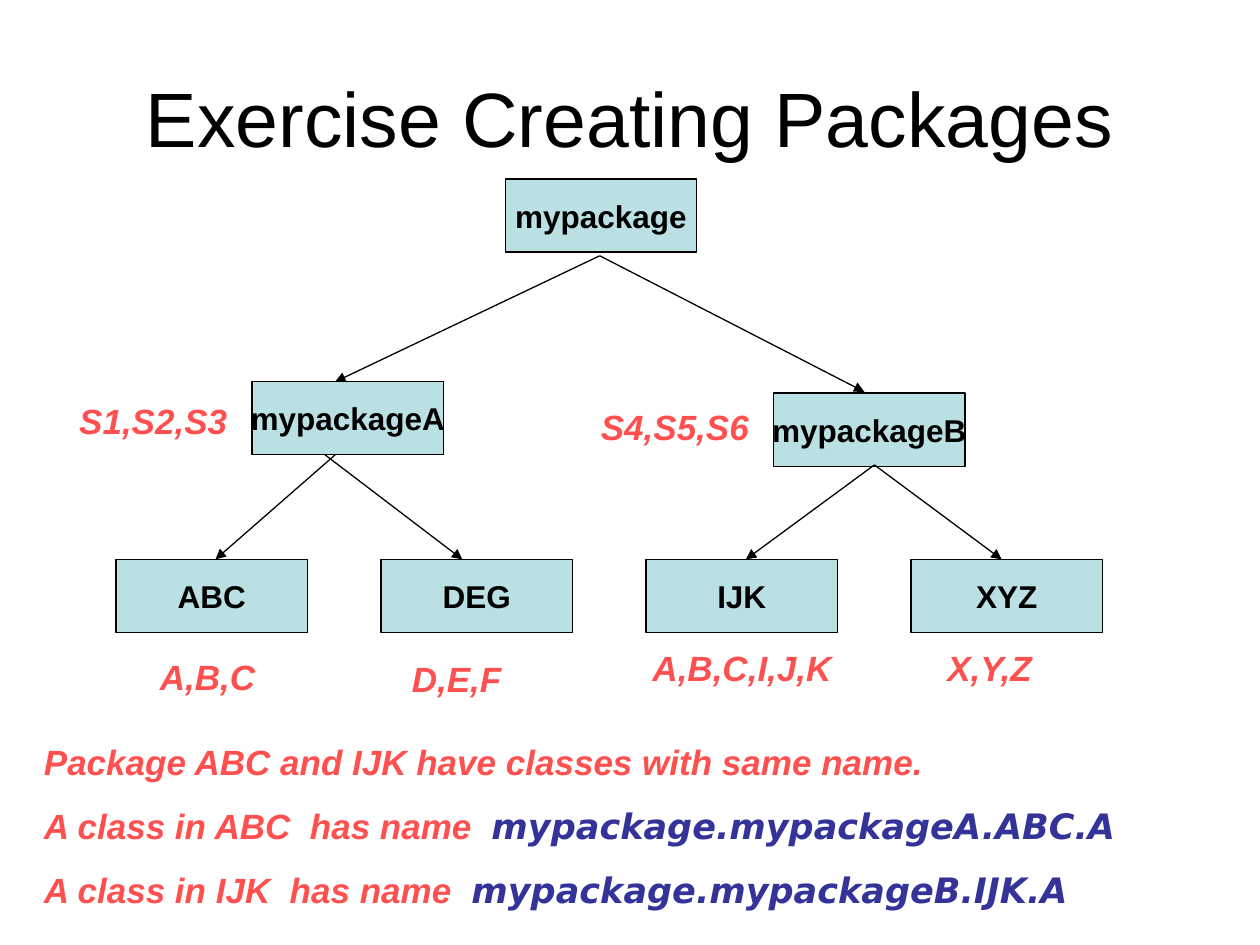
from lxml.etree import SubElement
from pptx import Presentation
from pptx.dml.color import RGBColor
from pptx.enum.shapes import MSO_CONNECTOR as Connector, MSO_SHAPE as Shape
from pptx.enum.text import MSO_ANCHOR as Anchor, MSO_AUTO_SIZE as AutoSize, PP_ALIGN as Align
from pptx.oxml.ns import qn
from pptx.util import Inches, Pt

BLACK, PALE_BLUE, RED, NAVY = "000000", "BBE0E3", "FF5050", "333399"
NODE_WIDTH, NODE_HEIGHT = 1.52, 0.58
LEAF_TOP, LEAF_STEP = 3.02, 2.1033

PACKAGES = [("mypackage", 3.09, 0), ("mypackageA", 1.08, 1.61), ("mypackageB", 5.22, 1.7)]
LEAVES = ["ABC", "DEG", "IJK", "XYZ"]
ARROWS = [
    ((3.84, 0.61), (1.74, 1.61)),
    ((3.84, 0.61), (5.94, 1.69)),
    ((1.74, 2.19), (0.79, LEAF_TOP)),
    ((1.66, 2.19), (2.75, LEAF_TOP)),
    ((6.02, 2.27), (5, LEAF_TOP)),
    ((6.02, 2.27), (7.03, LEAF_TOP)),
]
CLASS_LABELS = [
    ("S1,S2,S3", 0.53, 3.12, 1.42),
    ("S4,S5,S6", 4.67, 3.17, 1.42),
    ("A,B,C", 1.17, 5.15, 1.08),
    ("D,E,F", 3.17, 5.17, 1.08),
    ("A,B,C,I,J,K", 5.08, 5.08, 1.75),
    ("X,Y,Z", 7.42, 5.08, 1.08),
]
NOTES = [
    [("Package ABC and IJK have classes with same name.", "Arial", RED)],
    [("A class in ABC  has name  ", "Arial", RED),
     ("mypackage.mypackageA.ABC.A", "DejaVu Sans", NAVY)],
    [("A class in IJK  has name  ", "Arial", RED),
     ("mypackage.mypackageB.IJK.A", "DejaVu Sans", NAVY)],
]


def color(value):
    """Turn a hex string into a colour."""
    return RGBColor.from_string(value)


def set_font(font, size, name="Arial", hex_color=BLACK, bold=False, italic=False):
    """Set the look of a paragraph's or a run's text."""
    font.size, font.name = Pt(size), name
    font.bold, font.italic = bold, italic
    font.color.rgb = color(hex_color)


def add_title(slide, left, top, width, height):
    """Write the centred slide title."""
    box = slide.shapes.add_textbox(Inches(left), Inches(top), Inches(width), Inches(height))
    frame = box.text_frame
    frame.word_wrap, frame.vertical_anchor = True, Anchor.MIDDLE
    paragraph = frame.paragraphs[0]
    paragraph.text, paragraph.alignment = "Exercise Creating Packages", Align.CENTER
    set_font(paragraph.font, 44)


def add_node(slide, name, left, top):
    """Draw one package as a named rectangle."""
    shape = slide.shapes.add_shape(
        Shape.RECTANGLE, Inches(left), Inches(top), Inches(NODE_WIDTH), Inches(NODE_HEIGHT))
    shape.shadow.inherit = False
    shape.fill.solid()
    shape.fill.fore_color.rgb = color(PALE_BLUE)
    shape.line.color.rgb, shape.line.width = color(BLACK), Pt(0.75)
    frame = shape.text_frame
    frame.word_wrap, frame.vertical_anchor = False, Anchor.MIDDLE
    paragraph = frame.paragraphs[0]
    paragraph.text, paragraph.alignment = name, Align.CENTER
    set_font(paragraph.font, 18, bold=True)


def add_arrow(slide, start_x, start_y, end_x, end_y):
    """Draw a thin line with a triangle at its end."""
    arrow = slide.shapes.add_connector(
        Connector.STRAIGHT, Inches(start_x), Inches(start_y), Inches(end_x), Inches(end_y))
    arrow.line.color.rgb, arrow.line.width = color(BLACK), Pt(0.75)
    SubElement(arrow.line._get_or_add_ln(), qn("a:tailEnd"), type="triangle")
    SubElement(arrow._element.spPr, qn("a:effectLst"))


def add_package_tree(slide, left, top):
    """Draw the packages and the arrows between them."""
    for name, x, y in PACKAGES:
        add_node(slide, name, left + x, top + y)
    for index, name in enumerate(LEAVES):
        add_node(slide, name, left + index * LEAF_STEP, top + LEAF_TOP)
    for (start_x, start_y), (end_x, end_y) in ARROWS:
        add_arrow(slide, left + start_x, top + start_y, left + end_x, top + end_y)


def add_notes(slide, lines, left, top, width, height):
    """Write bold italic lines, each a list of text, font and colour."""
    box = slide.shapes.add_textbox(Inches(left), Inches(top), Inches(width), Inches(height))
    frame = box.text_frame
    frame.word_wrap, frame.auto_size = True, AutoSize.SHAPE_TO_FIT_TEXT
    for index, line in enumerate(lines):
        paragraph = frame.add_paragraph() if index else frame.paragraphs[0]
        paragraph.space_before = Pt(12.5)
        for text, font_name, hex_color in line:
            run = paragraph.add_run()
            run.text = text
            set_font(run.font, 20, font_name, hex_color, bold=True, italic=True)


def main():
    """Build and save the slide."""
    presentation = Presentation()
    presentation.slide_width, presentation.slide_height = Inches(10), Inches(7.5)
    slide = presentation.slides.add_slide(presentation.slide_layouts[6])
    add_title(slide, 0.5, 0.3, 9, 1.25)
    add_package_tree(slide, 0.92, 1.42)
    for text, left, top, width in CLASS_LABELS:
        add_notes(slide, [[(text, "Arial", RED)]], left, top, width, 0.44)
    add_notes(slide, NOTES, 0.25, 5.83, 9.75, 1.45)
    presentation.save("out.pptx")


if __name__ == "__main__":
    main()
